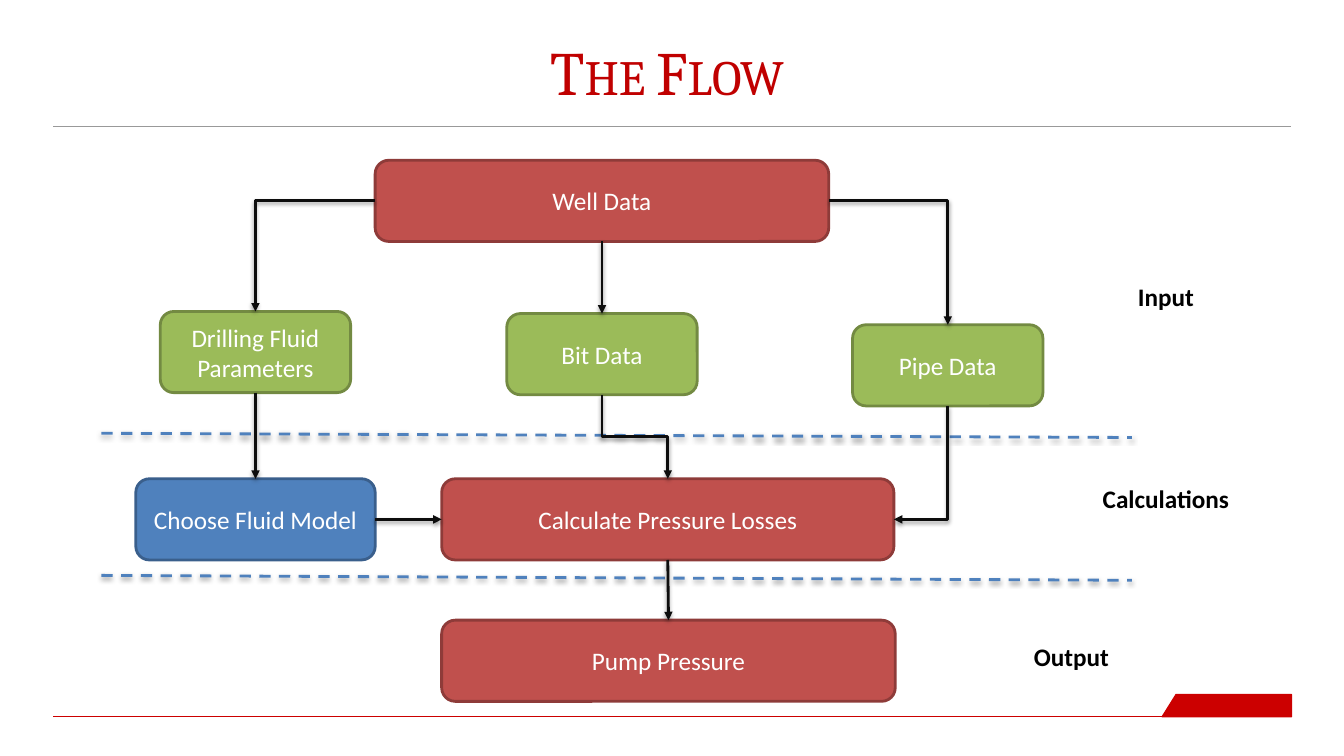
"""Build the slide that shows the flow of a pump pressure calculation."""

from dataclasses import dataclass
from enum import IntEnum

from lxml.etree import SubElement
from pptx import Presentation
from pptx.dml.color import RGBColor
from pptx.enum.dml import MSO_LINE
from pptx.enum.shapes import MSO_CONNECTOR, MSO_SHAPE
from pptx.enum.text import MSO_ANCHOR, PP_ALIGN
from pptx.oxml.ns import qn
from pptx.shapes.autoshape import Shape
from pptx.shapes.connector import Connector
from pptx.slide import Slide
from pptx.text.text import TextFrame
from pptx.util import Pt


@dataclass(frozen=True)
class Theme:
    """Colours, fonts and sizes of the slide."""

    title: str = "C00000"
    accent: str = "CC0000"
    rule: str = "999999"
    arrow: str = "0D0D0D"
    ink: str = "000000"
    white: str = "FFFFFF"
    red: tuple[str, str] = ("C0504D", "8E3B39")
    green: tuple[str, str] = ("9BBB59", "738A42")
    blue: tuple[str, str] = ("4F81BD", "3A5F8C")
    title_font: str = "Cambria"
    body_font: str = "Calibri"
    title_size: float = 44
    body_size: float = 18
    line_width: float = 2
    rule_width: float = 0.5


THEME = Theme()


class Side(IntEnum):
    """Connection sites of a rectangle."""

    TOP = 0
    LEFT = 1
    BOTTOM = 2
    RIGHT = 3


@dataclass(frozen=True)
class Step:
    """One box of the flow chart."""

    text: str
    left: float
    top: float
    width: float
    colours: tuple[str, str]
    height: float = 58


@dataclass(frozen=True)
class Arrow:
    """A link between two steps; bends is the number of corners."""

    start: str
    start_side: Side
    end: str
    end_side: Side
    bends: int = 0


@dataclass(frozen=True)
class Line:
    """A straight line without arrowheads."""

    start: tuple[float, float]
    end: tuple[float, float]
    colour: str
    width: float
    dashed: bool = False


@dataclass(frozen=True)
class Label:
    """The name of a stage."""

    text: str
    left: float
    top: float


STEPS = {
    "well": Step("Well Data", 268, 114.5, 324, THEME.red),
    "fluid": Step("Drilling Fluid Parameters", 114.5, 222.5, 136, THEME.green),
    "bit": Step("Bit Data", 362, 224, 136, THEME.green),
    "pipe": Step("Pipe Data", 609, 232, 136, THEME.green),
    "model": Step("Choose Fluid Model", 97, 342, 171, THEME.blue),
    "losses": Step("Calculate Pressure Losses", 315.5, 342, 323, THEME.red),
    "pump": Step("Pump Pressure", 315.5, 443, 324, THEME.red),
}
ARROWS = [
    Arrow("well", Side.LEFT, "fluid", Side.TOP, 1),
    Arrow("well", Side.BOTTOM, "bit", Side.TOP),
    Arrow("well", Side.RIGHT, "pipe", Side.TOP, 1),
    Arrow("fluid", Side.BOTTOM, "model", Side.TOP),
    Arrow("bit", Side.BOTTOM, "losses", Side.TOP, 2),
    Arrow("pipe", Side.BOTTOM, "losses", Side.RIGHT, 1),
    Arrow("model", Side.RIGHT, "losses", Side.LEFT),
    Arrow("losses", Side.BOTTOM, "pump", Side.TOP),
]
RULES = [
    Line((38, 90.5), (922.5, 90.5), THEME.rule, THEME.rule_width),
    Line((38, 512), (922.5, 512), THEME.accent, THEME.rule_width),
]
DIVIDERS = [
    Line((72.5, 309.5), (808.5, 312.5), THEME.blue[0], THEME.line_width, True),
    Line((72.5, 411), (808.5, 414.5), THEME.blue[0], THEME.line_width, True),
]
LABELS = [
    Label("Input", 745, 197.5),
    Label("Calculations", 745, 342),
    Label("Output", 677.5, 454.5),
]


def write_text(frame: TextFrame, text: str, colour: str, bold: bool = False) -> None:
    """Put one centred paragraph of body text in a frame."""
    frame.word_wrap = True
    para = frame.paragraphs[0]
    para.text = text
    para.alignment = PP_ALIGN.CENTER
    para.font.name = THEME.body_font
    para.font.size = Pt(THEME.body_size)
    para.font.bold = bold
    para.font.color.rgb = RGBColor.from_string(colour)


def add_title(page: Slide, text: str) -> None:
    """Add the heading in small capitals."""
    frame = page.shapes.add_textbox(Pt(62.5), Pt(23), Pt(828), Pt(58.5)).text_frame
    write_text(frame, text, THEME.title)
    frame.vertical_anchor = MSO_ANCHOR.BOTTOM
    para = frame.paragraphs[0]
    para.line_spacing = 0.9
    para.font.name = THEME.title_font
    para.font.size = Pt(THEME.title_size)
    para._p.pPr.find(qn("a:defRPr")).set("cap", "small")


def add_corner(page: Slide) -> None:
    """Add the slanted tab at the lower right."""
    builder = page.shapes.build_freeform(Pt(922.5), Pt(512))
    builder.add_line_segments(
        [(Pt(x), Pt(y)) for x, y in [(830, 512), (840, 496), (922.5, 496)]]
    )
    corner = builder.convert_to_shape()
    corner.shadow.inherit = False
    corner.fill.solid()
    corner.fill.fore_color.rgb = RGBColor.from_string(THEME.accent)
    corner.line.color.rgb = RGBColor.from_string(THEME.accent)
    corner.line.width = Pt(0.75)


def add_step(page: Slide, step: Step) -> Shape:
    """Add a rounded box with its text."""
    bounds = (step.left, step.top, step.width, step.height)
    box = page.shapes.add_shape(MSO_SHAPE.ROUNDED_RECTANGLE, *map(Pt, bounds))
    fill, outline = step.colours
    box.shadow.inherit = False
    box.fill.solid()
    box.fill.fore_color.rgb = RGBColor.from_string(fill)
    box.line.color.rgb = RGBColor.from_string(outline)
    box.line.width = Pt(THEME.line_width)
    box.text_frame.vertical_anchor = MSO_ANCHOR.MIDDLE
    write_text(box.text_frame, step.text, THEME.white)
    return box


def style_line(link: Connector, colour: str, width: float, shadow: bool) -> None:
    """Set the stroke of a connector and its soft shadow, if any."""
    link.line.color.rgb = RGBColor.from_string(colour)
    link.line.width = Pt(width)
    effects = SubElement(link._element.spPr, qn("a:effectLst"))
    if shadow:
        cast = SubElement(effects, qn("a:outerShdw"), blurRad=str(Pt(3.1)),
                          dist=str(Pt(1.6)), dir="5400000", rotWithShape="0")
        black = SubElement(cast, qn("a:srgbClr"), val=THEME.ink)
        SubElement(black, qn("a:alpha"), val="38000")


def add_line(page: Slide, line: Line) -> None:
    """Add a rule, or a dashed divider with a shadow."""
    link = page.shapes.add_connector(
        MSO_CONNECTOR.STRAIGHT, *map(Pt, line.start + line.end)
    )
    style_line(link, line.colour, line.width, line.dashed)
    if line.dashed:
        link.line.dash_style = MSO_LINE.DASH


def turn_downward(link: Connector) -> None:
    """Rotate an elbow so that it leaves its start vertically."""
    run, drop = link.end_x - link.begin_x, link.end_y - link.begin_y
    middle_x, middle_y = link.begin_x + run // 2, link.begin_y + drop // 2
    link.width, link.height = drop, abs(run)
    link.left, link.top = middle_x - drop // 2, middle_y - abs(run) // 2
    frame = link._element.spPr.find(qn("a:xfrm"))
    frame.set("rot", "5400000" if run < 0 else "16200000")
    frame.set("flipH", "0" if run < 0 else "1")


def add_arrow(page: Slide, arrow: Arrow, boxes: dict[str, Shape]) -> None:
    """Join two boxes with an arrow."""
    kind = MSO_CONNECTOR.ELBOW if arrow.bends else MSO_CONNECTOR.STRAIGHT
    link = page.shapes.add_connector(kind, Pt(0), Pt(0), Pt(0), Pt(0))
    link.begin_connect(boxes[arrow.start], arrow.start_side)
    link.end_connect(boxes[arrow.end], arrow.end_side)
    if arrow.bends:
        shape_type = f"bentConnector{arrow.bends + 1}"
        link._element.spPr.find(qn("a:prstGeom")).set("prst", shape_type)
        if arrow.start_side == Side.BOTTOM:
            turn_downward(link)
    style_line(link, THEME.arrow, THEME.line_width, True)
    SubElement(link.line._get_or_add_ln(), qn("a:tailEnd"), type="triangle")


def add_label(page: Slide, label: Label) -> None:
    """Add the bold name of a stage."""
    box = page.shapes.add_textbox(Pt(label.left), Pt(label.top), Pt(175.5), Pt(29))
    write_text(box.text_frame, label.text, THEME.ink, bold=True)


def main() -> None:
    """Build and save the deck."""
    deck = Presentation()
    deck.slide_width, deck.slide_height = Pt(960), Pt(540)
    page = deck.slides.add_slide(deck.slide_layouts[6])
    for rule in RULES:
        add_line(page, rule)
    add_corner(page)
    add_title(page, "The Flow")
    boxes = {name: add_step(page, step) for name, step in STEPS.items()}
    for divider in DIVIDERS:
        add_line(page, divider)
    for arrow in ARROWS:
        add_arrow(page, arrow, boxes)
    for label in LABELS:
        add_label(page, label)
    deck.save("out.pptx")


if __name__ == "__main__":
    main()
